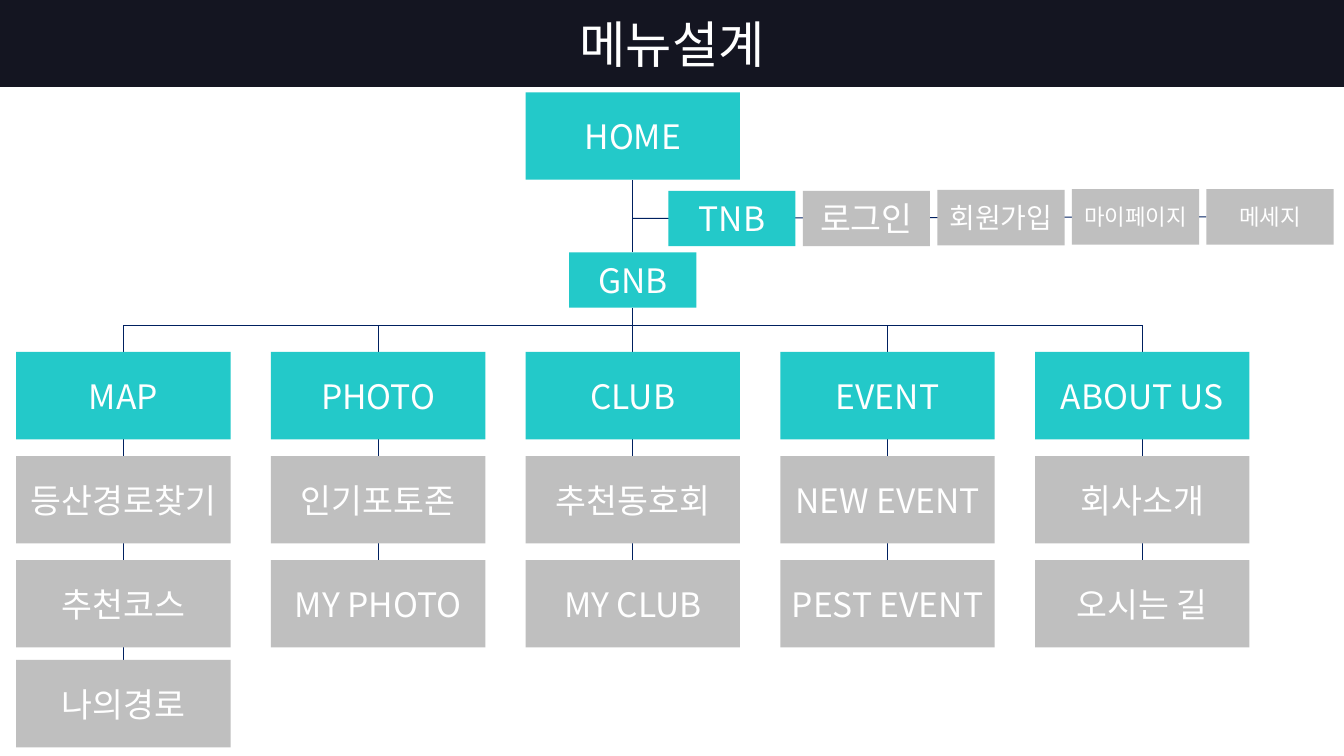
from dataclasses import dataclass

from lxml.etree import SubElement
from pptx import Presentation
from pptx.dml.color import RGBColor
from pptx.enum.shapes import MSO_CONNECTOR, MSO_SHAPE
from pptx.enum.text import MSO_ANCHOR, PP_ALIGN
from pptx.oxml.ns import qn
from pptx.util import Pt


@dataclass(frozen=True)
class Theme:
    font: str = "Noto Sans CJK KR"
    banner: RGBColor = RGBColor(0x14, 0x15, 0x21)
    menu: RGBColor = RGBColor(0x23, 0xC9, 0xC9)
    page: RGBColor = RGBColor(0xBF, 0xBF, 0xBF)
    line: RGBColor = RGBColor(0x00, 0x20, 0x60)
    text: RGBColor = RGBColor(0xFF, 0xFF, 0xFF)
    title_size: float = 36
    label_size: float = 24
    medium_size: float = 20
    small_size: float = 16
    line_width: float = 0.75


class MenuChart:
    def __init__(self, slide, theme):
        self.slide = slide
        self.theme = theme

    def box(self, label, left, top, width, height, fill, size=None):
        shape = self.slide.shapes.add_shape(
            MSO_SHAPE.RECTANGLE, Pt(left), Pt(top), Pt(width), Pt(height))
        shape.shadow.inherit = False
        shape.fill.solid()
        shape.fill.fore_color.rgb = fill
        shape.line.fill.background()
        frame = shape.text_frame
        frame.word_wrap = False
        frame.vertical_anchor = MSO_ANCHOR.MIDDLE
        paragraph = frame.paragraphs[0]
        paragraph.alignment = PP_ALIGN.CENTER
        run = paragraph.add_run()
        run.text = label
        font = run.font
        font.size = Pt(size or self.theme.label_size)
        font.color.rgb = self.theme.text
        font.name = self.theme.font
        # Hangul takes its typeface from the East Asian font element.
        SubElement(run._r.get_or_add_rPr(), qn("a:ea"), typeface=self.theme.font)

    def line(self, x1, y1, x2, y2):
        connector = self.slide.shapes.add_connector(
            MSO_CONNECTOR.STRAIGHT, Pt(x1), Pt(y1), Pt(x2), Pt(y2))
        connector.line.color.rgb = self.theme.line
        connector.line.width = Pt(self.theme.line_width)
        SubElement(connector._element.spPr, qn("a:effectLst"))


SLIDE_WIDTH, SLIDE_HEIGHT = 960, 540
BANNER_HEIGHT = 62.2
BOX_WIDTH, BOX_HEIGHT = 153.2, 62.4
TAB_WIDTH, TAB_HEIGHT = 90.8, 39.6
COLUMN_LEFT, COLUMN_STEP = 11.5, 181.95
ROW_TOPS = [251.4, 325.8, 400.1, 471.4]
HOME_TOP, GNB_TOP, BRANCH_TOP = 65.9, 180.2, 232.2
TNB_LEFT, TNB_STEP = 477.4, 96.1

MENUS = [
    ["MAP", "등산경로찾기", "추천코스", "나의경로"],
    ["PHOTO", "인기포토존", "MY PHOTO"],
    ["CLUB", "추천동호회", "MY CLUB"],
    ["EVENT", "NEW EVENT", "PEST EVENT"],
    ["ABOUT US", "회사소개", "오시는 길"],
]


def main():
    presentation = Presentation()
    presentation.slide_width = Pt(SLIDE_WIDTH)
    presentation.slide_height = Pt(SLIDE_HEIGHT)
    slide = presentation.slides.add_slide(presentation.slide_layouts[6])
    theme = Theme()
    chart = MenuChart(slide, theme)

    chart.box("메뉴설계", 0, 0, SLIDE_WIDTH, BANNER_HEIGHT, theme.banner, theme.title_size)

    lefts = [COLUMN_LEFT + COLUMN_STEP * index for index in range(len(MENUS))]
    centers = [left + BOX_WIDTH / 2 for left in lefts]
    trunk = centers[2]

    chart.line(trunk, HOME_TOP + BOX_HEIGHT, trunk, GNB_TOP)
    chart.line(trunk, GNB_TOP + TAB_HEIGHT, trunk, BRANCH_TOP)
    chart.line(centers[0], BRANCH_TOP, centers[-1], BRANCH_TOP)
    chart.line(trunk, 156, TNB_LEFT + 4 * TNB_STEP, 154.9)

    chart.box("HOME", lefts[2], HOME_TOP, BOX_WIDTH, BOX_HEIGHT, theme.menu)
    chart.box("GNB", trunk - TAB_WIDTH / 2, GNB_TOP, TAB_WIDTH, TAB_HEIGHT, theme.menu)

    for left, center, labels in zip(lefts, centers, MENUS):
        chart.line(center, BRANCH_TOP, center, ROW_TOPS[len(labels) - 1] + BOX_HEIGHT)
        for row, (label, top) in enumerate(zip(labels, ROW_TOPS)):
            fill = theme.page if row else theme.menu
            chart.box(label, left, top, BOX_WIDTH, BOX_HEIGHT, fill)

    tabs = [
        ("TNB", 136.3, theme.menu, theme.label_size),
        ("로그인", 136.3, theme.page, theme.label_size),
        ("회원가입", 135.6, theme.page, theme.medium_size),
        ("마이페이지", 135.1, theme.page, theme.small_size),
        ("메세지", 135.1, theme.page, theme.small_size),
    ]
    for index, (label, top, fill, size) in enumerate(tabs):
        chart.box(label, TNB_LEFT + TNB_STEP * index, top, TAB_WIDTH, TAB_HEIGHT, fill, size)

    presentation.save("out.pptx")


if __name__ == "__main__":
    main()
